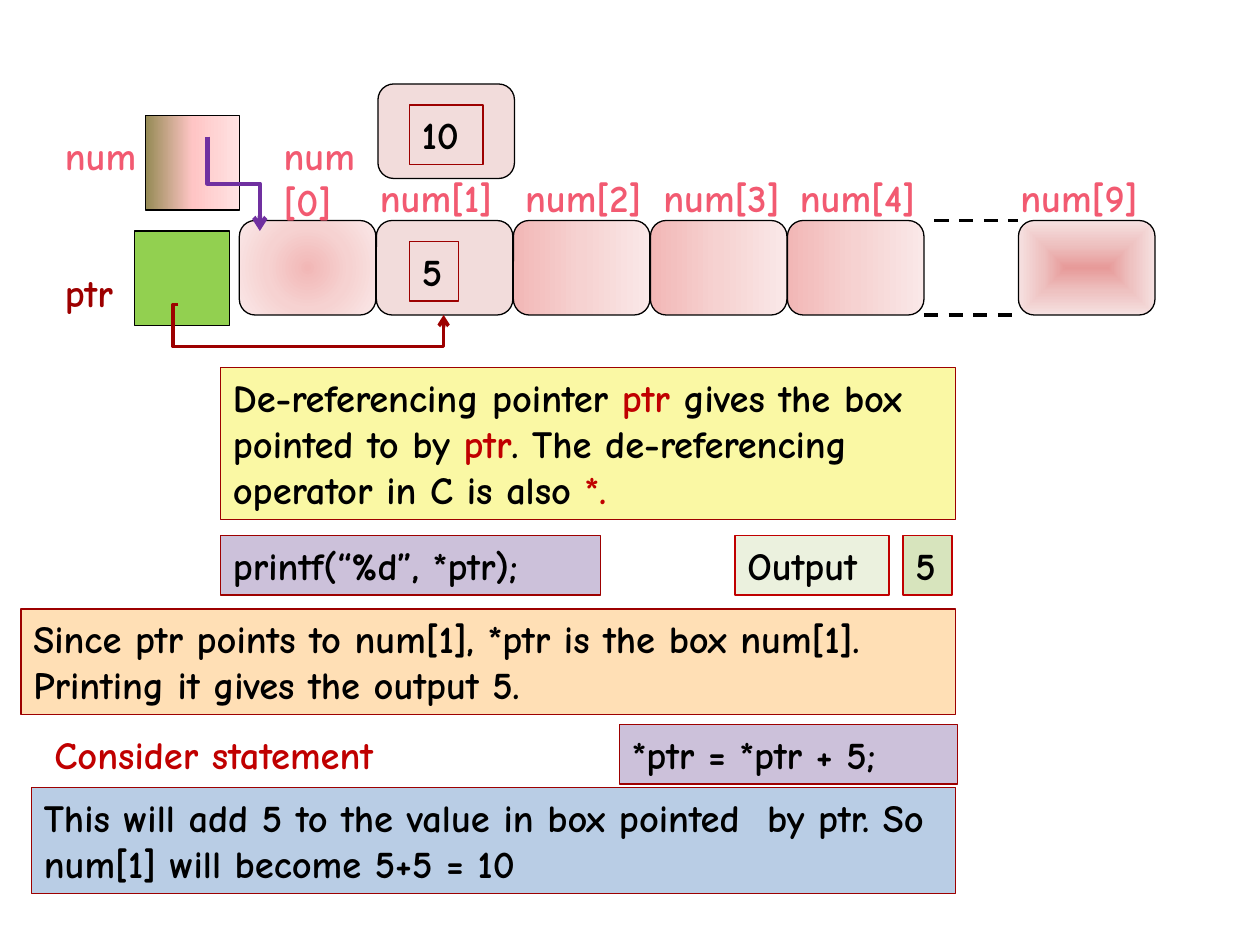
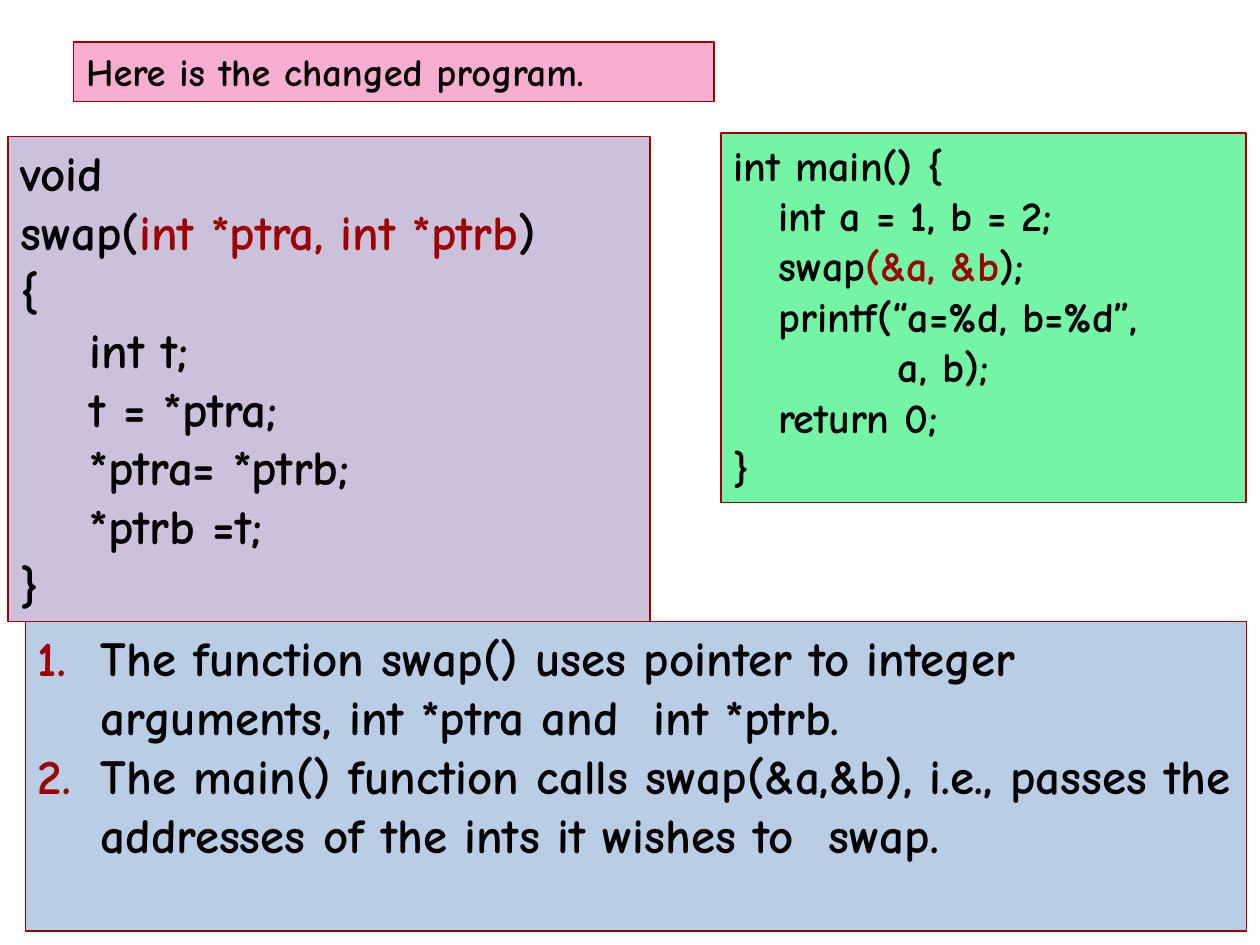
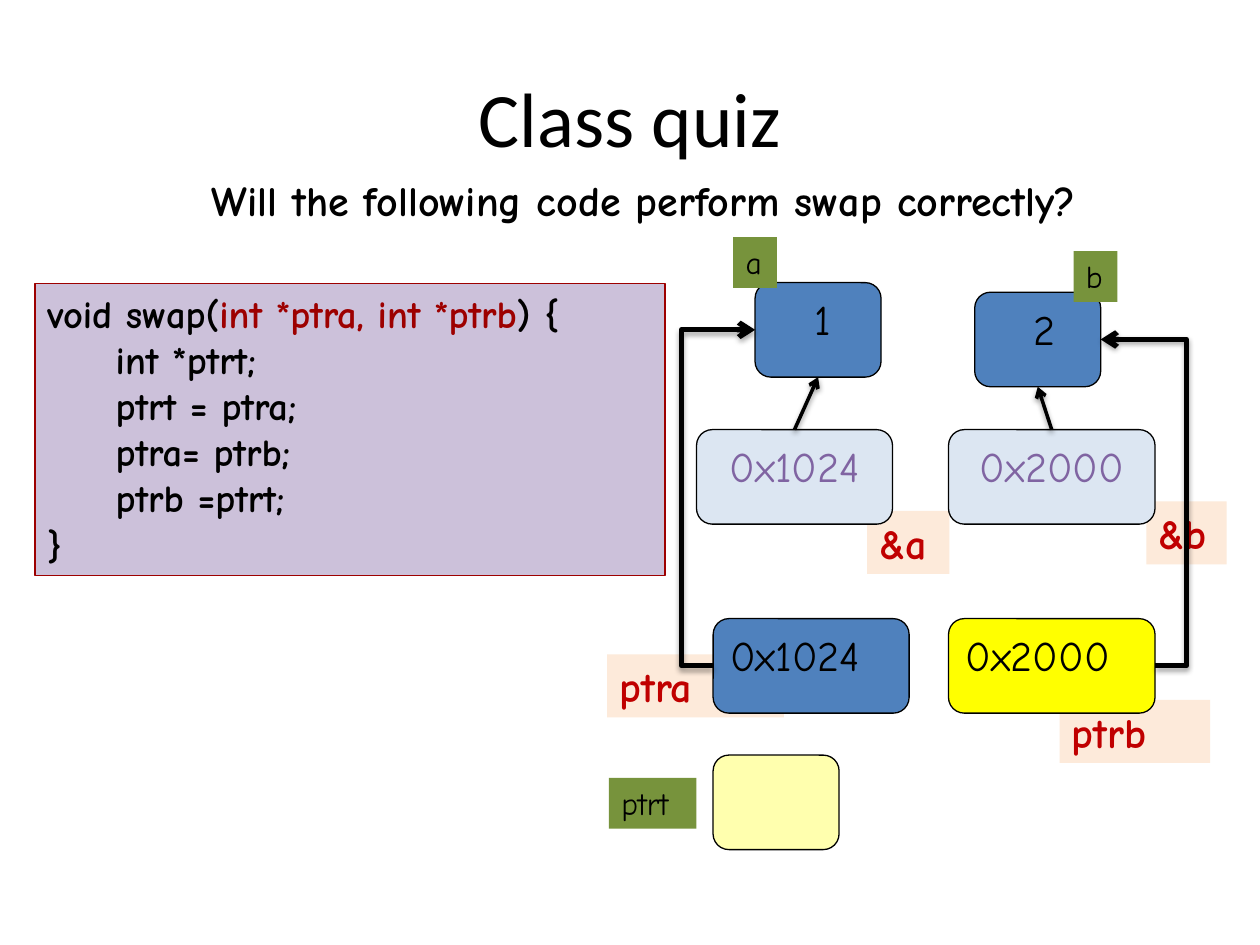
from dataclasses import dataclass
from typing import Optional, Union

from lxml import etree
from pptx import Presentation
from pptx.dml.color import RGBColor
from pptx.enum.dml import MSO_LINE
from pptx.enum.shapes import MSO_CONNECTOR, MSO_SHAPE
from pptx.enum.text import MSO_ANCHOR, MSO_AUTO_SIZE, PP_ALIGN
from pptx.oxml.ns import qn
from pptx.util import Pt

RECT, ROUNDED = MSO_SHAPE.RECTANGLE, MSO_SHAPE.ROUNDED_RECTANGLE
STRAIGHT, ELBOW = MSO_CONNECTOR.STRAIGHT, MSO_CONNECTOR.ELBOW
DASH = MSO_LINE.DASH
LEFT, CENTER = PP_ALIGN.LEFT, PP_ALIGN.CENTER
TOP, MIDDLE = MSO_ANCHOR.TOP, MSO_ANCHOR.MIDDLE
NO_AUTOFIT = MSO_AUTO_SIZE.NONE

# Shared look
HAND_FONT, TITLE_FONT = "Comic Neue", "Calibri"
BLACK, DARK_RED, RED, ROSE = "000000", "9D0000", "C00000", "F25A71"
LILAC, PALE_BLUE, PALE_PINK = "CCC1DA", "B9CDE5", "F2DCDB"
BLUE, ICE, VIOLET, PURPLE = "4F81BD", "DCE6F2", "8064A2", "7030A0"
OLIVE, PEACH = "77933C", "FDEADA"
LINE_HEIGHT, TWO_LINES = 34, 60.5
CELL_WIDTH, CELL_HEIGHT, CELL_PITCH = 78, 54, 78.3


@dataclass(frozen=True)
class Gradient:
    stops: tuple[str, str, str]
    shade: str = "linear"


@dataclass(frozen=True)
class TextStyle:
    size: float = 22
    color: str = BLACK
    accent: str = DARK_RED
    bold: bool = True
    font: str = HAND_FONT
    align: PP_ALIGN = LEFT
    indent: float = 0


@dataclass(frozen=True)
class Box:
    left: float
    top: float
    width: float
    height: float
    text: str = ""
    fill: Union[str, Gradient, None] = None
    line: Optional[str] = None
    style: TextStyle = TextStyle()
    outline: MSO_SHAPE = RECT


@dataclass(frozen=True)
class Link:
    begin: tuple[float, float]
    end: tuple[float, float]
    color: str = BLACK
    width: float = 2
    bends: tuple[float, ...] = ()
    rotation: int = 0
    arrow: bool = True
    dashed: bool = False
    shadow: int = 0  # opacity in percent


def rgb(color: str) -> RGBColor:
    return RGBColor.from_string(color)


def add_child(parent, tag: str, **attributes):
    return etree.SubElement(parent, qn(tag), {k: str(v) for k, v in attributes.items()})


def paint_gradient(shape, gradient: Gradient) -> None:
    shape.fill.background()
    empty_fill = shape.element.spPr.find(qn("a:noFill"))
    grad_fill = etree.Element(qn("a:gradFill"), rotWithShape="1")
    stops = add_child(grad_fill, "a:gsLst")
    for index, color in enumerate(gradient.stops):
        stop = add_child(stops, "a:gs", pos=index * 50000)
        add_child(stop, "a:srgbClr", val=color)
    if gradient.shade == "linear":
        add_child(grad_fill, "a:lin", ang=0, scaled=0)
    else:
        center = add_child(grad_fill, "a:path", path=gradient.shade)
        add_child(center, "a:fillToRect", l=50000, t=50000, r=50000, b=50000)
    shape.element.spPr.replace(empty_fill, grad_fill)


def paint(shape, box: Box) -> None:
    if isinstance(box.fill, Gradient):
        paint_gradient(shape, box.fill)
    elif box.fill:
        shape.fill.solid()
        shape.fill.fore_color.rgb = rgb(box.fill)
    else:
        shape.fill.background()
    if box.line:
        shape.line.color.rgb = rgb(box.line)
        shape.line.width = Pt(0.75)
    else:
        shape.line.fill.background()


def write(shape, text: str, style: TextStyle, anchor: MSO_ANCHOR = TOP,
          numbered: bool = False) -> None:
    """Lines become paragraphs; parts between bars take the accent colour."""
    frame = shape.text_frame
    frame.word_wrap = True
    frame.auto_size = NO_AUTOFIT
    frame.vertical_anchor = anchor
    for index, line in enumerate(text.split("\n")):
        paragraph = frame.paragraphs[0] if index == 0 else frame.add_paragraph()
        paragraph.alignment = style.align
        paragraph.space_before = Pt(0)
        properties = paragraph._p.get_or_add_pPr()
        if numbered:
            properties.set("marL", str(Pt(36)))
            properties.set("indent", str(Pt(-36)))
            add_child(add_child(properties, "a:buClr"), "a:srgbClr", val=style.accent)
            add_child(properties, "a:buFont", typeface="+mj-lt")
            add_child(properties, "a:buAutoNum", type="arabicPeriod")
        elif style.indent:
            properties.set("marL", str(Pt(style.indent)))
        font = paragraph.font
        font.name, font.size, font.bold = style.font, Pt(style.size), style.bold
        font.color.rgb = rgb(style.color)
        for part, words in enumerate(line.split("|")):
            if words:
                run = paragraph.add_run()
                run.text = words
                if part % 2:
                    run.font.color.rgb = rgb(style.accent)


def draw_box(slide, box: Box) -> None:
    frame = [Pt(n) for n in (box.left, box.top, box.width, box.height)]
    if box.fill or box.line:
        shape = slide.shapes.add_shape(box.outline, *frame)
        shape.shadow.inherit = False
        paint(shape, box)
    else:
        shape = slide.shapes.add_textbox(*frame)
    if box.text:
        write(shape, box.text, box.style)


def fill_placeholder(placeholder, box: Box, anchor: MSO_ANCHOR = TOP,
                     numbered: bool = False) -> None:
    placeholder.left, placeholder.top = Pt(box.left), Pt(box.top)
    placeholder.width, placeholder.height = Pt(box.width), Pt(box.height)
    paint(placeholder, box)
    write(placeholder, box.text, box.style, anchor, numbered)


def draw_link(slide, link: Link) -> None:
    ends = [Pt(n) for n in (*link.begin, *link.end)]
    connector = slide.shapes.add_connector(ELBOW if link.bends else STRAIGHT, *ends)
    connector.line.color.rgb = rgb(link.color)
    connector.line.width = Pt(link.width)
    if link.dashed:
        connector.line.dash_style = DASH
    properties = connector._element.spPr
    if link.rotation:
        properties.find(qn("a:xfrm")).set("rot", str(link.rotation * 60000))
    if link.bends:
        geometry = properties.find(qn("a:prstGeom"))
        geometry.set("prst", f"bentConnector{len(link.bends) + 2}")
        for old in list(geometry):
            geometry.remove(old)
        guides = add_child(geometry, "a:avLst")
        for number, bend in enumerate(link.bends, 1):
            add_child(guides, "a:gd", name=f"adj{number}", fmla=f"val {round(bend * 100000)}")
    if link.arrow:
        add_child(properties.find(qn("a:ln")), "a:tailEnd", type="arrow")
    effects = add_child(properties, "a:effectLst")
    if link.shadow:
        shade = add_child(effects, "a:outerShdw", blurRad=Pt(3.1), dist=Pt(1.7),
                          dir=5400000, rotWithShape=0)
        add_child(add_child(shade, "a:srgbClr", val=BLACK), "a:alpha", val=link.shadow * 1000)


def draw_all(slide, *parts: Union[Box, Link]) -> None:
    for part in parts:
        if isinstance(part, Box):
            draw_box(slide, part)
        else:
            draw_link(slide, part)


def dereference_slide(deck) -> None:
    slide = deck.slides.add_slide(deck.slide_layouts[6])
    rose, red = TextStyle(color=ROSE), TextStyle(color=RED)
    dark_red, red_accent = TextStyle(color=DARK_RED), TextStyle(accent=RED)

    # Array cells and their labels
    soft = ("F2B7B6", "F6D2D1", "FAE8E8")
    array_left, last_left, array_top = 136.8, 582, 126
    array_bottom = array_top + CELL_HEIGHT
    cell_fills = [Gradient(soft, "circle"), PALE_PINK] + [Gradient(soft)] * 3
    cells = [(array_left + i * CELL_PITCH, fill) for i, fill in enumerate(cell_fills)]
    cells.append((last_left, Gradient(("E79A99", "EEC2C1", "F6E1E1"), "rect")))
    for left, fill in cells:
        draw_box(slide, Box(left, array_top, CELL_WIDTH, CELL_HEIGHT, fill=fill,
                            line=BLACK, outline=ROUNDED))
    for index, left in ((1, 210), (2, 293), (3, 372), (4, 450), (9, 576)):
        draw_box(slide, Box(left, 96, 85, LINE_HEIGHT, f"num[{index}]", style=rose))
    draw_all(
        slide,
        Box(155, 72, 55, TWO_LINES, "num\n[0]", style=rose),
        Link((528, array_bottom), (last_left, array_bottom), arrow=False, dashed=True),
        Link((534, array_top), (last_left, array_top), arrow=False, dashed=True),
        # The two pointers
        Box(30, 72, 55, LINE_HEIGHT, "num", style=rose),
        Box(83, 66, 54, 54, fill=Gradient(("948A54", "FFC5C5", "FFE3E3")), line=BLACK),
        Link((160.5, 90), (106.5, 120), PURPLE, 2.5, bends=(0.5,), rotation=270),
        Box(30, 150, 48, LINE_HEIGHT, "ptr", style=dark_red),
        Box(77, 132, 54, 54, fill="92D050", line=BLACK),
        Link((102, 174), (253.5, 180), DARK_RED, bends=(-0.02, 4)),
        # Value before and after
        Box(234, 138, 28, LINE_HEIGHT, "5", line=DARK_RED),
        Box(216, 48, CELL_WIDTH, CELL_HEIGHT, fill=PALE_PINK, line=BLACK, outline=ROUNDED),
        Box(234, 60, 42, LINE_HEIGHT, "10", line=DARK_RED),
        # Explanation
        Box(126, 210, 420, 87,
            "De-referencing pointer |ptr| gives the box pointed to by |ptr|. "
            "The de-referencing operator in C is also |*.|",
            "FAF8A4", DARK_RED, red_accent),
        Box(126, 306, 217, LINE_HEIGHT, "printf(“%d”, *ptr);", LILAC, DARK_RED),
        Box(420, 306, 88, LINE_HEIGHT, "Output", "EBF1DE", RED),
        Box(516, 306, 28, LINE_HEIGHT, "5", "D7E4BD", RED),
        Box(12, 348, 534, TWO_LINES,
            "Since ptr points to num[1], *ptr is the box num[1]. "
            "Printing it gives the output 5.", "FFDFB5", DARK_RED),
        Box(18, 450, 528, TWO_LINES,
            "This will add 5 to the value in box pointed  by ptr. "
            "So num[1] will become 5+5 = 10", PALE_BLUE, DARK_RED),
        Box(354, 414, 193, LINE_HEIGHT, "*ptr = *ptr + 5;", LILAC, DARK_RED),
        Box(24, 414, 258, LINE_HEIGHT, "Consider statement", style=red),
    )


SWAP_CODE = """void
swap(|int *ptra, int *ptrb|)
{
    int t;
    t = *ptra;
    *ptra= *ptrb;
    *ptrb =t;
}"""

MAIN_CODE = """int main() {
   int a = 1, b = 2;
   swap|(&a, &b|);
   printf(“a=%d, b=%d”,
           a, b);
   return 0;
}"""

SWAP_NOTES = """The function swap() uses pointer to integer arguments, int *ptra and  int *ptrb.
The main() function calls swap(&a,&b), i.e., passes the addresses of the ints it wishes to  swap."""

QUIZ_CODE = """void swap(|int *ptra, int *ptrb|) {
     int *ptrt;
     ptrt = ptra;
     ptra= ptrb;
     ptrb =ptrt;
}"""


def changed_program_slide(deck) -> None:
    slide = deck.slides.add_slide(deck.slide_layouts[1])
    large = TextStyle(28)
    fill_placeholder(slide.shapes.title, Box(42, 24, 366, LINE_HEIGHT,
                     "Here is the changed program.", "F8AED1", DARK_RED))
    fill_placeholder(slide.placeholders[1], Box(14.5, 355, 698, 177, SWAP_NOTES,
                     PALE_BLUE, DARK_RED, large), numbered=True)
    draw_all(
        slide,
        Box(4.5, 78, 367, 277, SWAP_CODE, LILAC, DARK_RED, large),
        Box(412, 76, 300, 211, MAIN_CODE, "74F4A5", DARK_RED, TextStyle(24)),
    )


def quiz_slide(deck) -> None:
    slide = deck.slides.add_slide(deck.slide_layouts[5])
    title_style = TextStyle(44, bold=False, font=TITLE_FONT, align=CENTER)
    fill_placeholder(slide.shapes.title,
                     Box(36, 21.6, 648, 90, "Class quiz", style=title_style), MIDDLE)
    draw_all(
        slide,
        Box(20, 162, 360, 167, QUIZ_CODE, LILAC, DARK_RED),
        Box(114, 96, 582, 36.5, "Will the following code perform swap correctly?",
            style=TextStyle(24)),
    )

    # Peach labels behind the memory boxes
    label_style = TextStyle(24, RED)
    for label, left, top, width in (("&b", 655, 286.5, 46), ("&a", 495.5, 292, 47),
                                    ("ptrb", 605.5, 400, 86), ("ptra", 347, 374, 101)):
        draw_box(slide, Box(left, top, width, 36, label, PEACH, style=label_style))

    # Memory boxes
    value = TextStyle(24, bold=False, indent=24)
    address = TextStyle(24, VIOLET, bold=False, align=CENTER)
    pointer = TextStyle(24, bold=False)
    for text, left, top, width, fill, style in (
            ("0x1024", 398, 245.5, 112, ICE, address),
            ("0x2000", 542, 245.5, 118, ICE, address),
            ("1", 431.5, 161.5, 72, BLUE, value),
            ("2", 557, 167, 72, BLUE, value),
            ("0x1024", 407.5, 353.5, 112, BLUE, pointer),
            ("0x2000", 542, 353.5, 118, "FFFF00", pointer),
            ("", 407.5, 431.5, 72, "FFFFAE", pointer)):
        draw_box(slide, Box(left, top, width, CELL_HEIGHT, text, fill, BLACK, style, ROUNDED))

    # Variable names
    name_style = TextStyle(18, bold=False)
    for name, left, top, width in (("a", 419, 135.5, 25), ("b", 613.5, 143.5, 25),
                                   ("ptrt", 348, 444.5, 50)):
        draw_box(slide, Box(left, top, width, 29, name, OLIVE, style=name_style))

    # Arrows from addresses to values
    draw_all(
        slide,
        Link((454, 245.5), (467.5, 215.5), shadow=38),
        Link((601, 245.5), (593, 221), shadow=38),
        Link((407.5, 380.5), (431.5, 188.5), width=3, bends=(-0.75,), shadow=35),
        Link((660, 380.5), (629, 194), width=3, bends=(-0.58,), shadow=35),
    )


def main() -> None:
    deck = Presentation()
    deck.slide_width, deck.slide_height = Pt(720), Pt(540)
    dereference_slide(deck)
    changed_program_slide(deck)
    quiz_slide(deck)
    deck.save("out.pptx")


if __name__ == "__main__":
    main()
